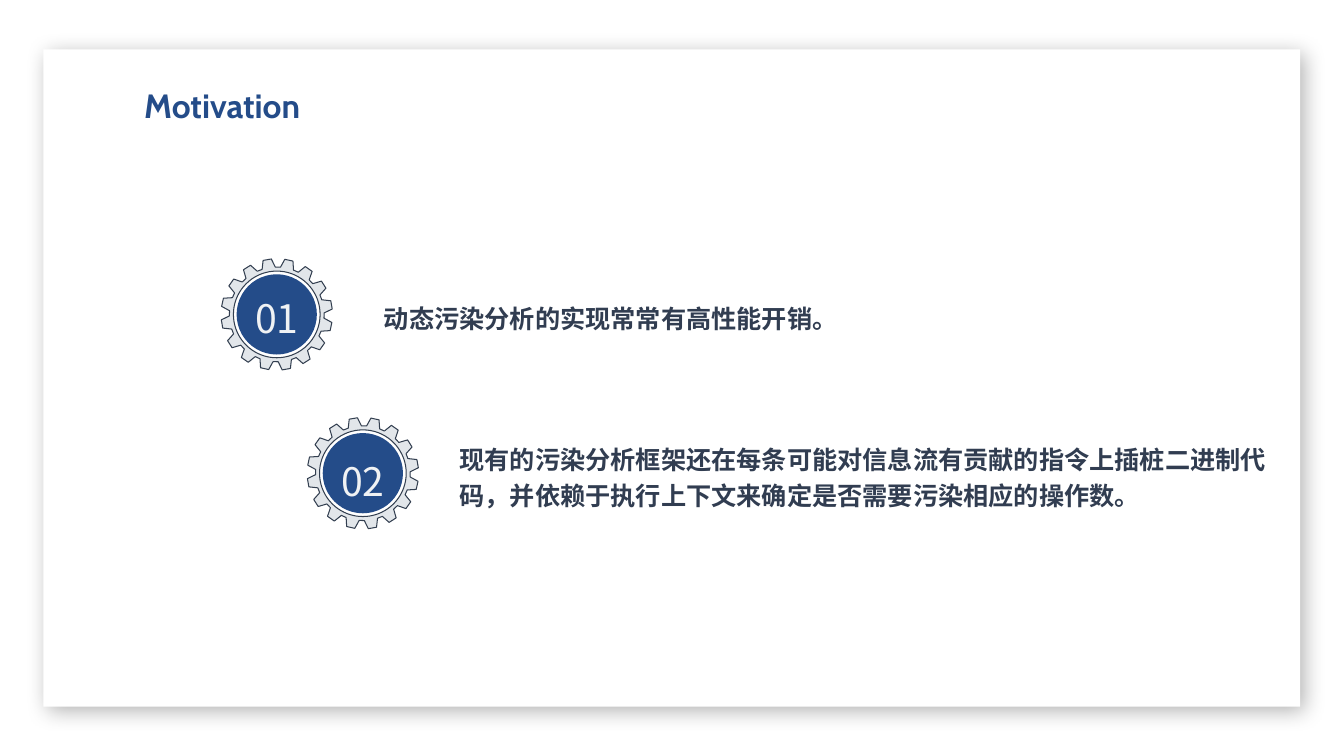
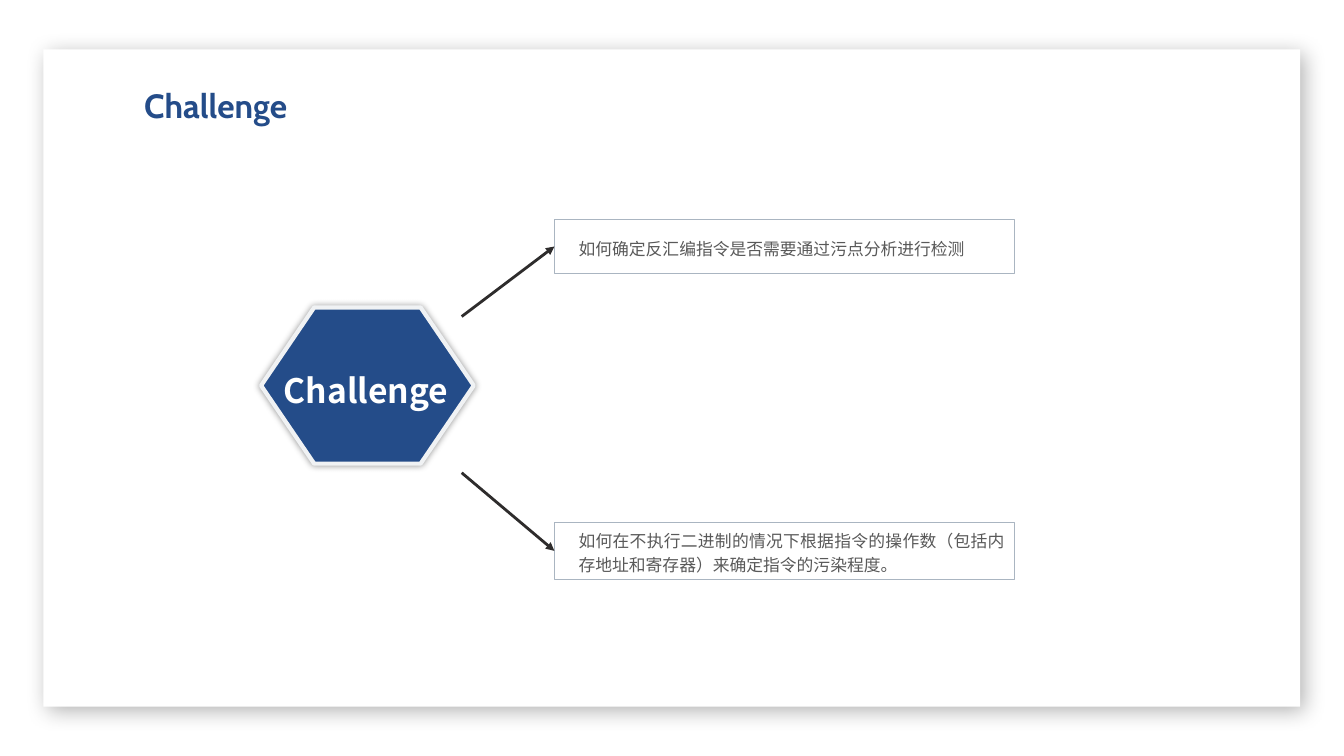
from dataclasses import dataclass
from math import cos, radians, sin

from lxml.etree import SubElement
from pptx import Presentation
from pptx.dml.color import RGBColor
from pptx.enum.shapes import MSO_CONNECTOR, MSO_SHAPE
from pptx.enum.text import MSO_ANCHOR, MSO_AUTO_SIZE, PP_ALIGN
from pptx.oxml.ns import qn
from pptx.util import Pt


@dataclass(frozen=True)
class Theme:
    blue: str = "244C89"
    white: str = "FFFFFF"
    pale: str = "F0F2F4"
    gear: str = "E2E6EA"
    edge: str = "333F50"
    dark: str = "313D51"
    gray: str = "595959"
    frame: str = "AAB5C1"
    ink: str = "2E2C2C"
    black: str = "000000"
    head: str = "Cabin"
    sans: str = "Noto Sans CJK SC"
    title: int = 24
    count: int = 28
    point: int = 18
    note: int = 12
    space: float = 1.2


theme = Theme()


def paint(shape, fill, line=None, width=0):
    shape.shadow.inherit = False
    shape.fill.solid()
    shape.fill.fore_color.rgb = RGBColor.from_string(fill)
    if line:
        shape.line.color.rgb = RGBColor.from_string(line)
        shape.line.width = Pt(width)
    else:
        shape.line.fill.background()


def shade(shape, alpha, blur, dist=0, angle=0):
    effects = shape.element.spPr.find(qn("a:effectLst"))
    outer = SubElement(effects, qn("a:outerShdw"), blurRad=str(Pt(blur)),
                       dist=str(Pt(dist)), dir=str(angle * 60000),
                       algn="ctr", rotWithShape="0")
    color = SubElement(outer, qn("a:srgbClr"), val=theme.black)
    SubElement(color, qn("a:alpha"), val=str(alpha * 1000))


def write(shape, text, size, color, font=theme.sans, bold=False,
          align=PP_ALIGN.LEFT, anchor=MSO_ANCHOR.TOP, wrap=True, pad=None):
    frame = shape.text_frame
    frame.text = text
    frame.auto_size = MSO_AUTO_SIZE.NONE
    frame.word_wrap = wrap
    frame.vertical_anchor = anchor
    if pad:
        (frame.margin_left, frame.margin_top,
         frame.margin_right, frame.margin_bottom) = map(Pt, pad)
    line = frame.paragraphs[0]
    line.alignment = align
    line.line_spacing = theme.space
    run = line.runs[0]
    run.font.size = Pt(size)
    run.font.bold = bold
    run.font.color.rgb = RGBColor.from_string(color)
    run.font.name = font
    SubElement(run.font._element, qn("a:ea"), typeface=font)


def form(slide, kind, left, top, width, height):
    return slide.shapes.add_shape(kind, Pt(left), Pt(top), Pt(width), Pt(height))


def panel(slide):
    card = form(slide, MSO_SHAPE.RECTANGLE, 31, 35.3, 897.8, 469.4)
    paint(card, theme.white)
    shade(card, 30, 15, 5, 45)
    title = slide.slide_layout.placeholders[0]
    title.left, title.top, title.width, title.height = map(Pt, (95.8, 51.1, 197.3, 38.9))
    title.element.addprevious(card.element)


def start(deck, layout, text):
    slide = deck.slides.add_slide(layout)
    write(slide.shapes.title, text, theme.title, theme.blue, theme.head, True)
    return slide


def ring(x, y, steps):
    return [(Pt(x + size * cos(radians(turn))), Pt(y + size * sin(radians(turn))))
            for turn, size in steps]


def gear(slide, x, y, size, text, drop):
    mid_x, mid_y = x + size / 2, y + size / 2
    tip, root, hole, disc = (size * part for part in (0.5, 0.425, 0.389, 0.36))
    tooth = ((-8.1, root), (-4.3, tip), (4.3, tip), (8.1, root))
    teeth = ring(mid_x, mid_y, [(12.6 + 22.5 * n + turn, far)
                                for n in range(16) for turn, far in tooth])
    inner = ring(mid_x, mid_y, [(-turn, hole) for turn in range(0, 360, 5)])
    path = slide.shapes.build_freeform(*teeth[0])
    path.add_line_segments(teeth[1:], close=True)
    path.move_to(*inner[0])
    path.add_line_segments(inner[1:], close=True)
    paint(path.convert_to_shape(), theme.gear, theme.edge, 0.75)
    paint(form(slide, MSO_SHAPE.OVAL, mid_x - disc, mid_y - disc, 2 * disc, 2 * disc),
          theme.blue)
    label = slide.shapes.add_textbox(Pt(mid_x - 24), Pt(y + drop), Pt(48), Pt(44.6))
    write(label, text, theme.count, theme.pale, align=PP_ALIGN.CENTER, wrap=False)


def point(slide, x, y, mark, drop, text, left, top, height):
    gear(slide, x, y, 79.6, mark, drop)
    box = slide.shapes.add_textbox(Pt(x + left), Pt(y + top), Pt(590.4), Pt(height))
    write(box, text, theme.point, theme.dark, bold=True, pad=(0, 0, 0, 0))


def motive(deck, layout):
    slide = start(deck, layout, "Motivation")
    panel(slide)
    point(slide, 157.9, 184.8, "01", 15.4,
          "动态污染分析的实现常常有高性能开销。", 116.4, 27.6, 24.5)
    point(slide, 219.4, 298.2, "02", 17.9,
          "现有的污染分析框架还在每条可能对信息流有贡献的指令上插桩二进制代码，"
          "并依赖于执行上下文来确定是否需要污染相应的操作数。", 108.9, 15, 50.4)


def hub(slide, x, y, width, height, text):
    core = form(slide, MSO_SHAPE.HEXAGON, x, y, width, height)
    core.adjustments[0] = 0.34
    paint(core, theme.blue, theme.pale, 3)
    shade(core, 40, 5)
    write(core, text, theme.title, theme.white, bold=True, align=PP_ALIGN.CENTER,
          anchor=MSO_ANCHOR.MIDDLE, wrap=False, pad=(0, 0, 2, 0))


def branch(slide, x, y, width, height, text, from_x, from_y):
    box = form(slide, MSO_SHAPE.RECTANGLE, x, y, width, height)
    paint(box, theme.white, theme.frame)
    write(box, text, theme.note, theme.gray, align=PP_ALIGN.JUSTIFY,
          anchor=MSO_ANCHOR.MIDDLE, pad=(17.3, 0, 7.2, 0))
    arrow = slide.shapes.add_connector(MSO_CONNECTOR.STRAIGHT, Pt(from_x), Pt(from_y),
                                       Pt(x), Pt(y + height / 2))
    arrow.end_connect(box, 1)
    arrow.line.color.rgb = RGBColor.from_string(theme.ink)
    arrow.line.width = Pt(0)
    SubElement(arrow.line._get_or_add_ln(), qn("a:tailEnd"), type="triangle")
    SubElement(arrow.element.spPr, qn("a:effectLst"))


def goal(deck, layout):
    slide = start(deck, layout, "Challenge")
    hub(slide, 186.5, 219.6, 151.9, 111.6, "Challenge")
    branch(slide, 396, 157, 329, 38.2,
           "如何确定反汇编指令是否需要通过污点分析进行检测", 329.8, 226.1)
    branch(slide, 396, 373, 329, 41,
           "如何在不执行二进制的情况下根据指令的操作数（包括内存地址和寄存器）"
           "来确定指令的污染程度。", 329.8, 337.7)


def main():
    deck = Presentation()
    deck.slide_width, deck.slide_height = Pt(960), Pt(540)
    layout = deck.slide_layouts[5]
    motive(deck, layout)
    goal(deck, layout)
    deck.save("out.pptx")


if __name__ == "__main__":
    main()
